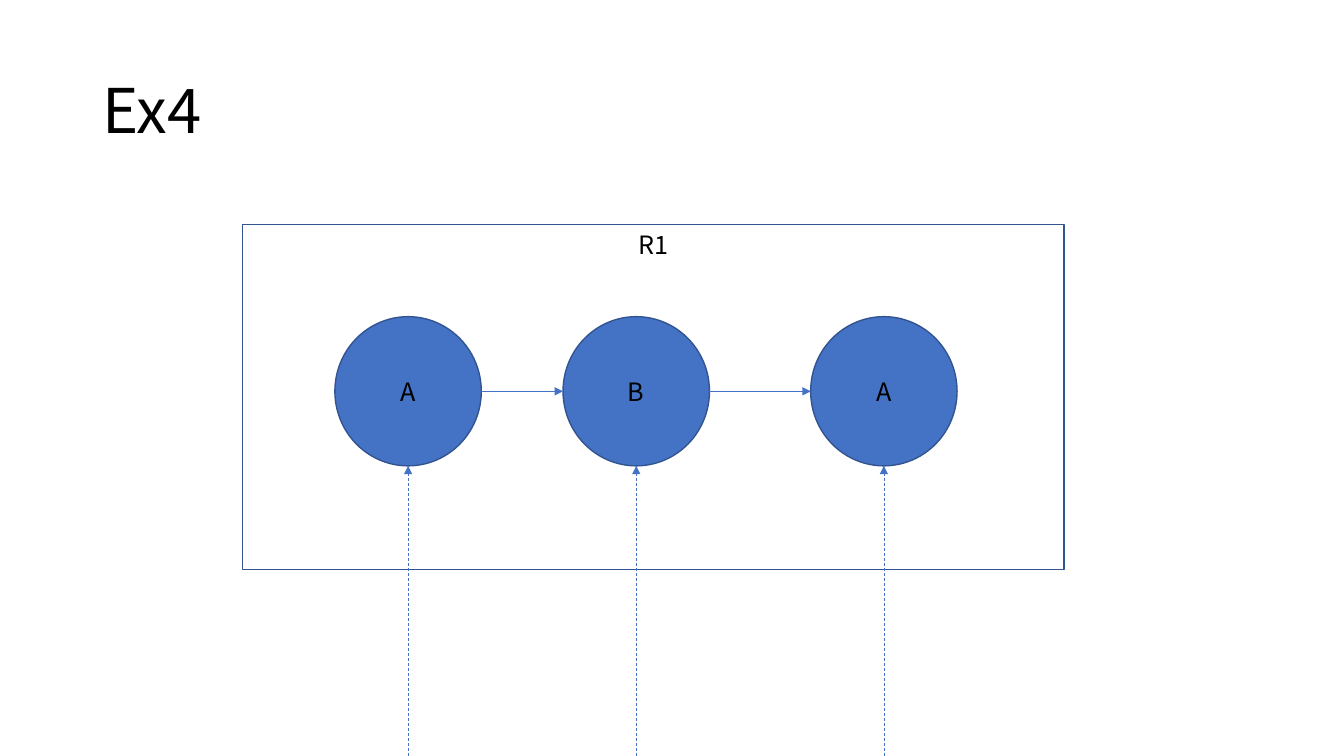
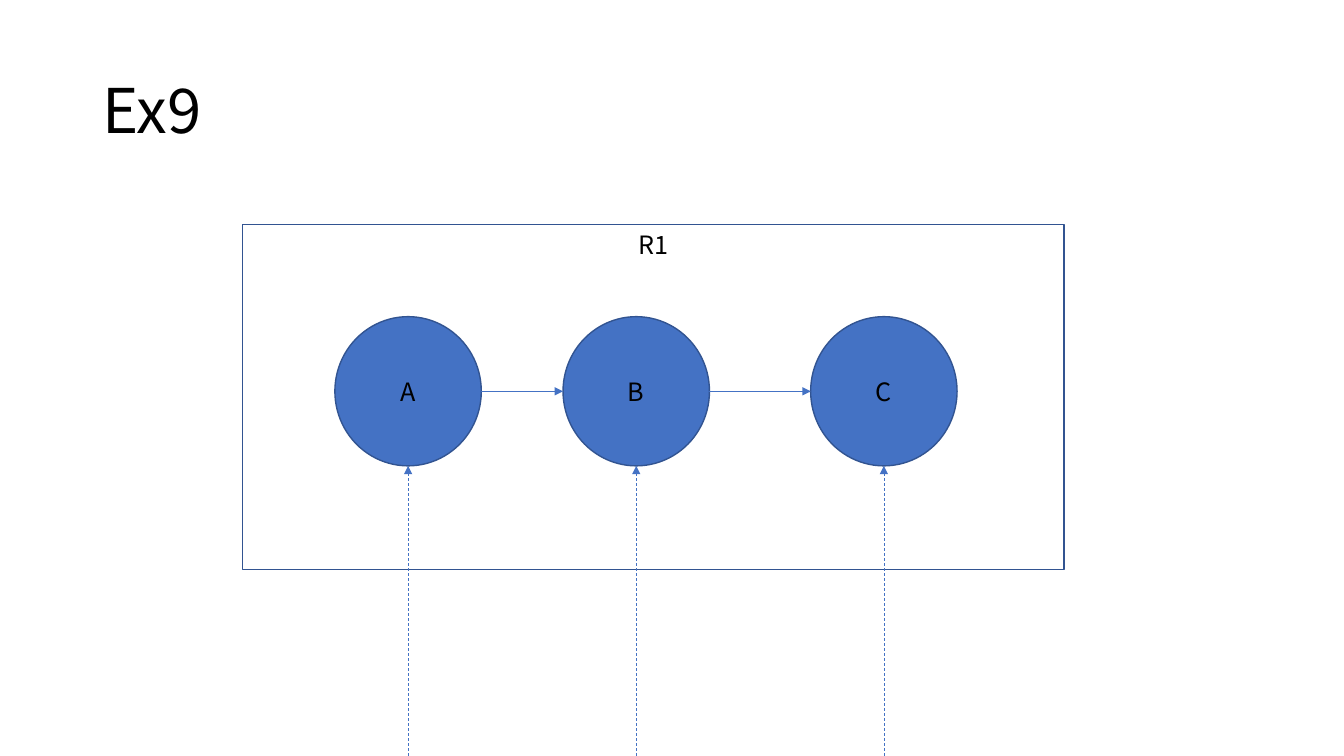
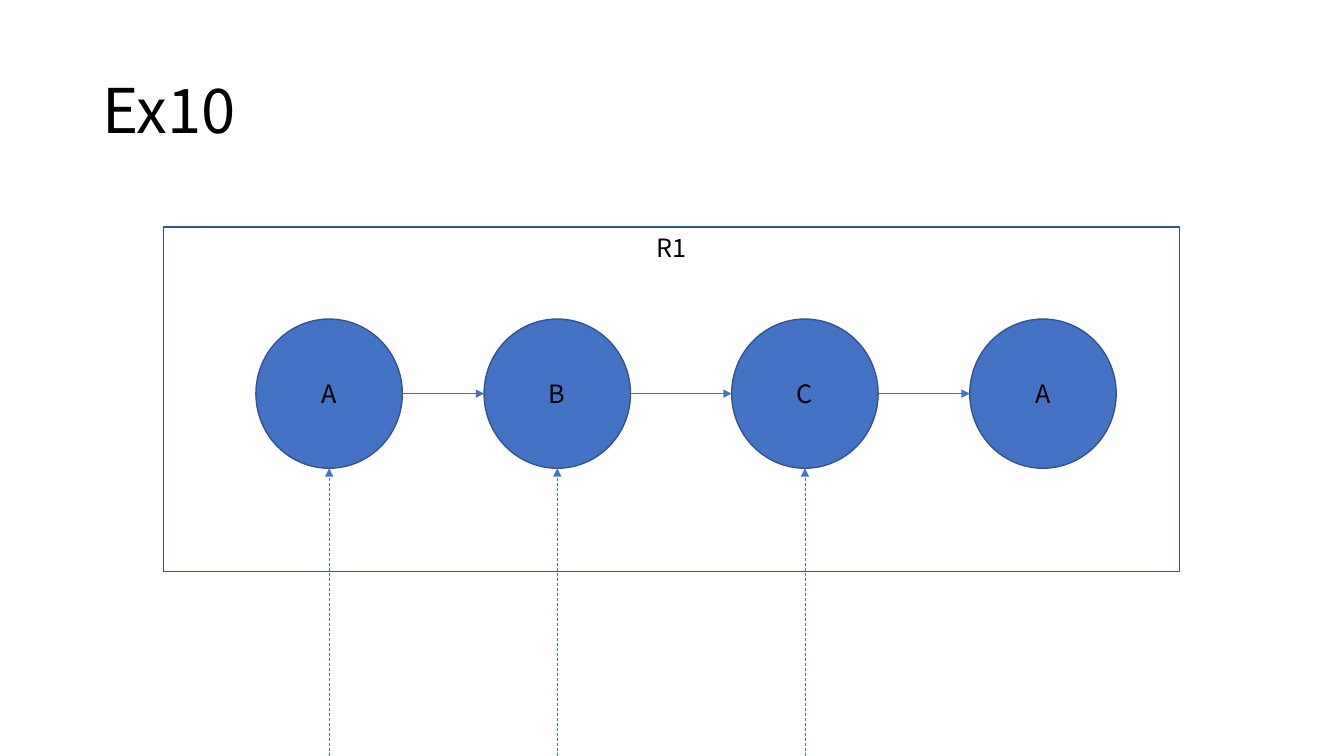
from lxml.etree import SubElement
from pptx import Presentation
from pptx.dml.color import RGBColor
from pptx.enum.dml import MSO_LINE
from pptx.enum.shapes import MSO_CONNECTOR, MSO_SHAPE
from pptx.enum.text import MSO_ANCHOR, PP_ALIGN
from pptx.oxml.ns import qn
from pptx.util import Cm, Pt

FONT = "Noto Sans CJK KR"
TEXT_COLOR, NODE_FILL, OUTLINE = "000000", "4472C4", "325491"
PAGE_WIDTH, PAGE_HEIGHT = 33.87, 19.05
FRAME_HEIGHT = 8.69
NODE_WIDTH, NODE_HEIGHT = 3.69, 3.76
# Node offsets from the left and top edges of the frame
NODE_LEFTS = (2.33, 8.08, 14.32, 20.32)
NODE_TOP = 2.32
READ_COUNT = 3

# Title, frame left, top and width, node labels
SLIDES = (
    ("Ex4", 6.11, 5.66, 20.71, "ABA"),
    ("Ex9", 6.11, 5.66, 20.71, "ABC"),
    ("Ex10", 4.12, 5.72, 25.61, "ABCA"),
)


def color(value):
    return RGBColor.from_string(value)


def set_text(box, text, size, align, anchor):
    frame = box.text_frame
    frame.text = text
    frame.word_wrap = True
    frame.vertical_anchor = anchor
    para = frame.paragraphs[0]
    para.alignment = align
    font = para.runs[0].font
    font.name, font.size = FONT, Pt(size)
    font.color.rgb = color(TEXT_COLOR)
    return para


def add_title(page, text):
    box = page.shapes.add_textbox(Cm(2.33), Cm(1.01), Cm(29.21), Cm(3.68))
    para = set_text(box, text, 44, PP_ALIGN.LEFT, MSO_ANCHOR.MIDDLE)
    para.line_spacing = 0.9


def add_labelled_shape(page, kind, bounds, label, anchor, fill=None):
    shape = page.shapes.add_shape(kind, *map(Cm, bounds))
    shape.shadow.inherit = False
    if fill:
        shape.fill.solid()
        shape.fill.fore_color.rgb = color(fill)
    else:
        shape.fill.background()
    shape.line.color.rgb = color(OUTLINE)
    shape.line.width = Pt(1)
    set_text(shape, label, 18, PP_ALIGN.CENTER, anchor)


def add_arrow(page, start, end, dash=None):
    arrow = page.shapes.add_connector(MSO_CONNECTOR.STRAIGHT, *map(Cm, start + end))
    arrow.line.color.rgb = color(NODE_FILL)
    arrow.line.width = Pt(0.5)
    if dash:
        arrow.line.dash_style = dash
    SubElement(arrow.line._get_or_add_ln(), qn("a:tailEnd"), type="triangle")
    SubElement(arrow._element.spPr, qn("a:effectLst"))


def add_diagram(page, left, top, width, labels):
    """Draw the frame, its chain of nodes and the dashed arrows from below."""
    add_labelled_shape(page, MSO_SHAPE.RECTANGLE, (left, top, width, FRAME_HEIGHT),
                       "R1", MSO_ANCHOR.TOP)
    node_top = top + NODE_TOP
    middle = node_top + NODE_HEIGHT / 2
    bottom = node_top + NODE_HEIGHT
    node_lefts = [left + offset for offset in NODE_LEFTS[:len(labels)]]
    for label, node_left in zip(labels, node_lefts):
        add_labelled_shape(page, MSO_SHAPE.OVAL,
                           (node_left, node_top, NODE_WIDTH, NODE_HEIGHT),
                           label, MSO_ANCHOR.MIDDLE, NODE_FILL)
    for node_left, next_left in zip(node_lefts, node_lefts[1:]):
        add_arrow(page, (node_left + NODE_WIDTH, middle), (next_left, middle))
    for node_left in node_lefts[:READ_COUNT]:
        center = node_left + NODE_WIDTH / 2
        add_arrow(page, (center, PAGE_HEIGHT), (center, bottom), MSO_LINE.DASH)


def main():
    deck = Presentation()
    deck.slide_width, deck.slide_height = Cm(PAGE_WIDTH), Cm(PAGE_HEIGHT)
    for title, left, top, width, labels in SLIDES:
        page = deck.slides.add_slide(deck.slide_layouts[6])
        add_title(page, title)
        add_diagram(page, left, top, width, labels)
    deck.save("out.pptx")


if __name__ == "__main__":
    main()
